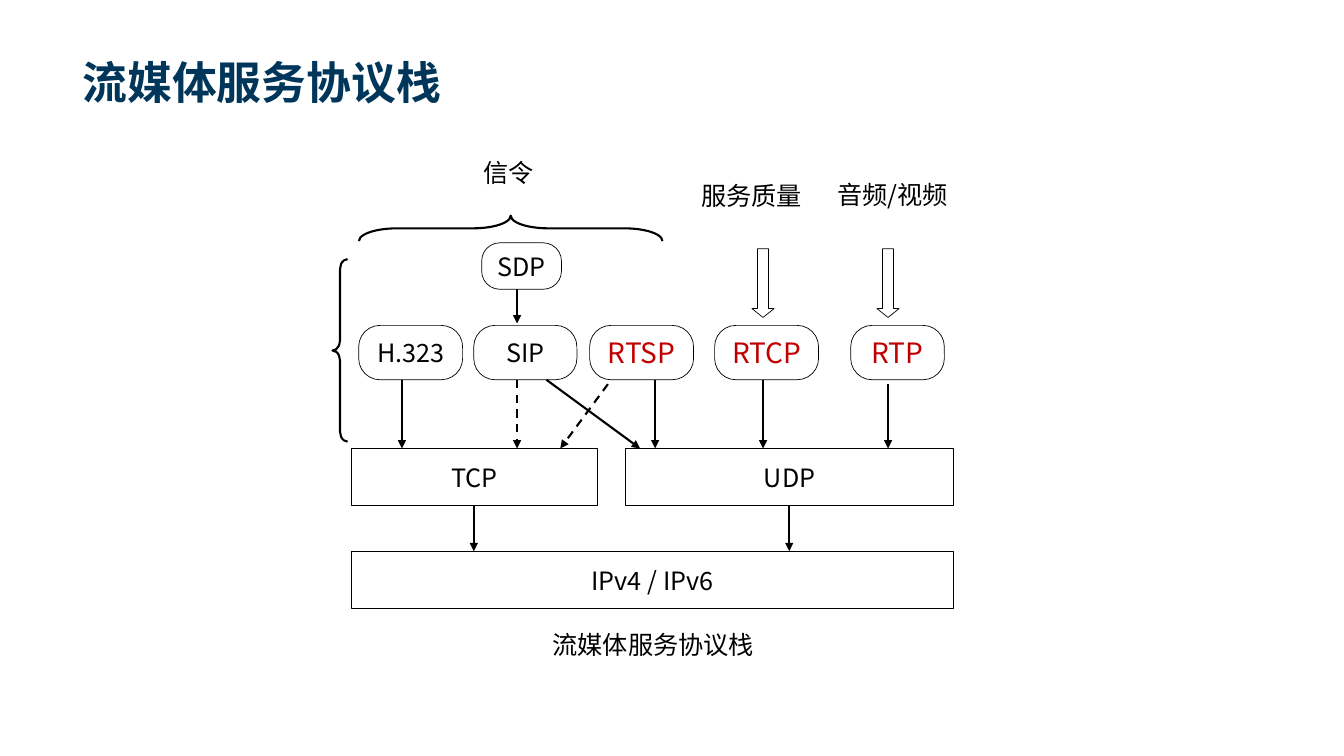
from dataclasses import dataclass

import pptx
import pptx.dml.color
import pptx.enum.dml
import pptx.enum.shapes
import pptx.enum.text
import pptx.oxml
import pptx.oxml.ns
import pptx.util

Cm = pptx.util.Cm
Pt = pptx.util.Pt
SHAPE = pptx.enum.shapes.MSO_SHAPE
ALIGN = pptx.enum.text.PP_ALIGN
ANCHOR = pptx.enum.text.MSO_ANCHOR


@dataclass(frozen=True)
class Theme:
    title_color: str = "003659"
    ink: str = "000000"
    accent: str = "C00000"
    paper: str = "FFFFFF"
    title_font: str = "Arial"
    body_font: str = "Noto Sans CJK SC"
    title_size: float = 32
    accent_size: float = 20
    body_size: float = 18
    hairline: float = 0.5
    thin: float = 0.75
    thick: float = 1.5


THEME = Theme()


def rgb(color):
    return pptx.dml.color.RGBColor.from_string(color)


def write_text(frame, text, *, size=THEME.body_size, font=THEME.body_font, color=THEME.ink,
               bold=False, align=ALIGN.LEFT, anchor=ANCHOR.TOP, wrap=True,
               line_spacing=None, indent=None):
    frame.word_wrap = wrap
    frame.vertical_anchor = anchor
    paragraph = frame.paragraphs[0]
    paragraph.alignment = align
    if line_spacing:
        paragraph.line_spacing = line_spacing
    if indent:
        paragraph._p.get_or_add_pPr().set("indent", str(indent))
    run = paragraph.add_run()
    run.text = text
    run.font.size = Pt(size)
    run.font.name = font
    run.font.bold = bold
    run.font.color.rgb = rgb(color)
    east_asian = pptx.oxml.parse_xml(
        f'<a:ea {pptx.oxml.ns.nsdecls("a")} typeface="{THEME.body_font}"/>')
    run.font._element.find(pptx.oxml.ns.qn("a:latin")).addnext(east_asian)


class Diagram:
    """Draws on one slide; every position and length is in centimetres."""

    def __init__(self, slide, theme):
        self.slide = slide
        self.theme = theme

    def label(self, text, left, top, width, height, **text_format):
        box = self.slide.shapes.add_textbox(Cm(left), Cm(top), Cm(width), Cm(height))
        write_text(box.text_frame, text, **text_format)

    def outline(self, kind, left, top, width, height, *, weight, adjustments=(), fill=None):
        shape = self.slide.shapes.add_shape(kind, Cm(left), Cm(top), Cm(width), Cm(height))
        shape.shadow.inherit = False
        for index, value in enumerate(adjustments):
            shape.adjustments[index] = value
        if fill:
            shape.fill.solid()
            shape.fill.fore_color.rgb = rgb(fill)
        else:
            shape.fill.background()
        shape.line.color.rgb = rgb(self.theme.ink)
        shape.line.width = Pt(weight)
        return shape

    def layer(self, text, left, top, width, fill=None):
        shape = self.outline(SHAPE.RECTANGLE, left, top, width, 1.45,
                             weight=self.theme.thin, fill=fill)
        write_text(shape.text_frame, text, align=ALIGN.CENTER, anchor=ANCHOR.MIDDLE, wrap=False)

    def protocol(self, text, left, top, width, height, highlighted=False):
        shape = self.outline(SHAPE.ROUNDED_RECTANGLE, left, top, width, height,
                             weight=self.theme.hairline, adjustments=[0.392])
        emphasis = {}
        if highlighted:
            emphasis = {"color": self.theme.accent, "size": self.theme.accent_size}
        write_text(shape.text_frame, text, align=ALIGN.CENTER, anchor=ANCHOR.MIDDLE,
                   wrap=False, **emphasis)

    def brace(self, left, top, width, height, adjustments, rotation=0):
        shape = self.outline(SHAPE.LEFT_BRACE, left, top, width, height,
                             weight=self.theme.thick, adjustments=adjustments)
        shape.rotation = rotation

    def block_arrow(self, left):
        self.outline(SHAPE.DOWN_ARROW, left, 6.27, 0.56, 1.73,
                     weight=self.theme.hairline, adjustments=[0.5, 0.399])

    def arrow(self, start, end, dashed=False):
        connector = self.slide.shapes.add_connector(
            pptx.enum.shapes.MSO_CONNECTOR.STRAIGHT,
            Cm(start[0]), Cm(start[1]), Cm(end[0]), Cm(end[1]))
        connector.line.color.rgb = rgb(self.theme.ink)
        connector.line.width = Pt(self.theme.thick)
        if dashed:
            connector.line.dash_style = pptx.enum.dml.MSO_LINE.DASH
        namespace = pptx.oxml.ns.nsdecls("a")
        connector.line._get_or_add_ln().append(
            pptx.oxml.parse_xml(f'<a:tailEnd {namespace} type="triangle"/>'))
        connector._element.spPr.append(pptx.oxml.parse_xml(f"<a:effectLst {namespace}/>"))


def main():
    presentation = pptx.Presentation()
    presentation.slide_width = Cm(33.87)
    presentation.slide_height = Cm(19.05)
    slide = presentation.slides.add_slide(presentation.slide_layouts[6])
    slide.background.fill.solid()
    slide.background.fill.fore_color.rgb = rgb(THEME.paper)
    diagram = Diagram(slide, THEME)

    diagram.label("流媒体服务协议栈", 1.83, 0.36, 30.18, 2.49, size=THEME.title_size,
                  font=THEME.title_font, color=THEME.title_color, bold=True,
                  anchor=ANCHOR.BOTTOM)

    protocol_top, protocol_height = 8.2, 1.37
    protocol_bottom = protocol_top + protocol_height
    transport_top, transport_bottom, network_top = 11.3, 12.75, 13.89

    diagram.layer("TCP", 8.86, transport_top, 6.2, fill=THEME.paper)
    diagram.layer("UDP", 15.77, transport_top, 8.26, fill=THEME.paper)
    diagram.layer("IPv4 / IPv6", 8.86, network_top, 15.17)

    for text, left, width, highlighted in [
        ("H.323", 9.04, 2.62, False),
        ("SIP", 11.94, 2.6, False),
        ("RTSP", 14.86, 2.62, True),
        ("RTCP", 18.01, 2.62, True),
        ("RTP", 21.44, 2.36, True),
    ]:
        diagram.protocol(text, left, protocol_top, width, protocol_height, highlighted)
    diagram.protocol("SDP", 12.14, 6.12, 2.01, 1.17)

    for center in (11.94, 19.89):
        diagram.arrow((center, transport_bottom), (center, network_top))
    for start, start_top, end, dashed in [
        (10.13, protocol_bottom, 10.13, False),
        (13.03, protocol_bottom, 13.03, True),
        (15.32, 9.68, 14.12, True),
        (13.77, protocol_bottom, 16.13, False),
        (16.51, protocol_bottom, 16.51, False),
        (19.23, protocol_bottom, 19.23, False),
        (22.38, 9.68, 22.38, False),
    ]:
        diagram.arrow((start, start_top), (end, transport_top), dashed)
    diagram.arrow((13.03, 7.29), (13.03, 8.15))

    diagram.brace(12.55, 1.93, 0.64, 7.65, [1.488, 0.5], rotation=90)
    diagram.brace(8.38, 6.53, 0.38, 4.6, [0.669, 0.501])
    for left in (18.95, 22.1):
        diagram.block_arrow(left)

    for text, left, top, width in [
        ("信令", 11.94, 3.84, 2.08),
        ("服务质量", 17.42, 4.42, 3.58),
        ("音频/视频", 20.85, 4.39, 3.91),
    ]:
        diagram.label(text, left, top, width, 1.93)
    diagram.label("流媒体服务协议栈", 12.88, 15.34, 6.43, 1.27,
                  align=ALIGN.CENTER, line_spacing=1.5, indent=Cm(0.74))

    presentation.save("out.pptx")


if __name__ == "__main__":
    main()
